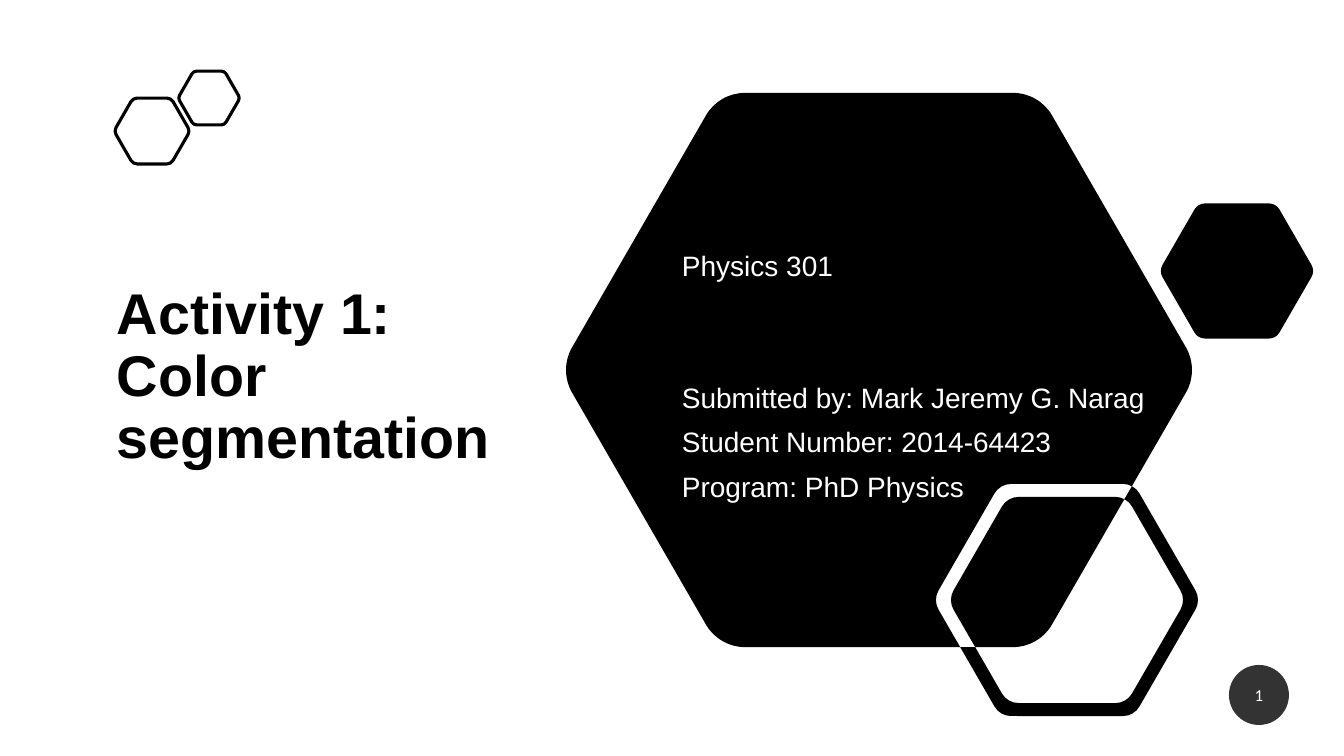
import math
from lxml import etree
from pptx import Presentation
from pptx import util as u
from pptx.dml.color import RGBColor
from pptx.enum import shapes, text
from pptx.oxml import ns

WIDE, HIGH = 1344, 756
SCALE = 12192000 / WIDE
BLACK, WHITE = "000000", "FFFFFF"


def px(n):
    return u.Emu(round(n * SCALE))


def tint(color, code):
    color.rgb = RGBColor.from_string(code)


def paint(shape, code):
    shape.fill.solid()
    tint(shape.fill.fore_color, code)


def write(para, words, face, size, code, bold=False):
    run = para.add_run()
    run.text = words
    run.font.name, run.font.size, run.font.bold = face, u.Pt(size), bold
    tint(run.font.color, code)


def outline(x, y, size, cut):
    tips = [(x + size * math.cos(k * math.pi / 3),
             y + size * math.sin(k * math.pi / 3)) for k in range(6)]
    dots, pulls = [], []
    for k, tip in enumerate(tips):
        near, far = ([(s - t) * cut / size for s, t in zip(side, tip)]
                     for side in (tips[k - 1], tips[(k + 1) % 6]))

        def spot(a, b):
            return tuple(px(p + a * m + b * n)
                         for p, m, n in zip(tip, near, far))

        dots += [spot(1, 0), spot(0.27, 0.27), spot(0, 1)]
        pulls += [None, spot(0.54, 0), spot(0, 0.54)]
    return dots, pulls


def draw(slide, hexes):
    pen, bends = None, []
    for item in hexes:
        dots, pulls = outline(*item)
        if pen:
            pen.move_to(*dots[0])
        else:
            pen = slide.shapes.build_freeform(*dots[0])
        pen.add_line_segments(dots[1:], close=True)
        bends += pulls[1:]
    shape = pen.convert_to_shape()
    shape.shadow.inherit = False
    lines = list(shape._element.iter(ns.qn("a:lnTo")))
    for line, pull in zip(lines, bends):
        if pull:
            line.tag = ns.qn("a:quadBezTo")
            line.insert(0, etree.Element(ns.qn("a:pt"),
                                         x=str(pull[0] - shape.left),
                                         y=str(pull[1] - shape.top)))
    return shape


def frame(slide, box):
    body = slide.shapes.add_textbox(*map(px, box)).text_frame
    body.word_wrap = True
    body.vertical_anchor = text.MSO_ANCHOR.MIDDLE
    return body


def title(slide, box):
    para = frame(slide, box).paragraphs[0]
    para.line_spacing = 0.9
    write(para, "Activity 1:", "Arial", 41, BLACK, True)
    para.add_line_break()
    write(para, "Color segmentation", "Arial", 41, BLACK, True)


def icon(slide, x, y):
    for dx, dy, size, cut in ((38, 61, 38, 4), (95, 28, 31, 3)):
        ring = draw(slide, [(x + dx, y + dy, size, cut)])
        ring.fill.background()
        ring.line.width = u.Pt(2.25)
        tint(ring.line.color, BLACK)


def panel(slide, x, y):
    art = draw(slide, [(x + 314, y + 277, 320, 26),
                       (x + 672, y + 178, 78, 7),
                       (x + 502, y + 507, 134, 11),
                       (x + 502, y + 507, 119, 11)])
    paint(art, BLACK)
    art.line.fill.background()


def notes(slide, box):
    body = frame(slide, box)
    rows = (("Physics 301", 0),
            ("Submitted by: Mark Jeremy G. Narag", 73),
            ("Student Number: 2014-64423", 10),
            ("Program: PhD Physics", 10))
    for k, (words, gap) in enumerate(rows):
        para = body.add_paragraph() if k else body.paragraphs[0]
        para.line_spacing = 0.9
        para.space_before = u.Pt(gap)
        write(para, words, "Arial", 20, WHITE)


def badge(slide, box):
    disc = slide.shapes.add_shape(shapes.MSO_SHAPE.OVAL, *map(px, box))
    disc.shadow.inherit = False
    paint(disc, BLACK)
    disc.line.fill.background()
    shade = disc.fill._xPr.find(".//" + ns.qn("a:srgbClr"))
    etree.SubElement(shade, ns.qn("a:alpha"), val="80000")
    body = disc.text_frame
    body.vertical_anchor = text.MSO_ANCHOR.MIDDLE
    para = body.paragraphs[0]
    para.alignment = text.PP_ALIGN.CENTER
    write(para, "1", "Calibri", 12, WHITE)


def main():
    deck = Presentation()
    deck.slide_width, deck.slide_height = px(WIDE), px(HIGH)
    slide = deck.slides.add_slide(deck.slide_layouts[6])
    title(slide, (107, 173, 409, 409))
    icon(slide, 114, 70)
    panel(slide, 565, 93)
    notes(slide, (672, 231, 507, 293))
    badge(slide, (1229, 665, 60, 60))
    deck.save("out.pptx")


if __name__ == "__main__":
    main()
